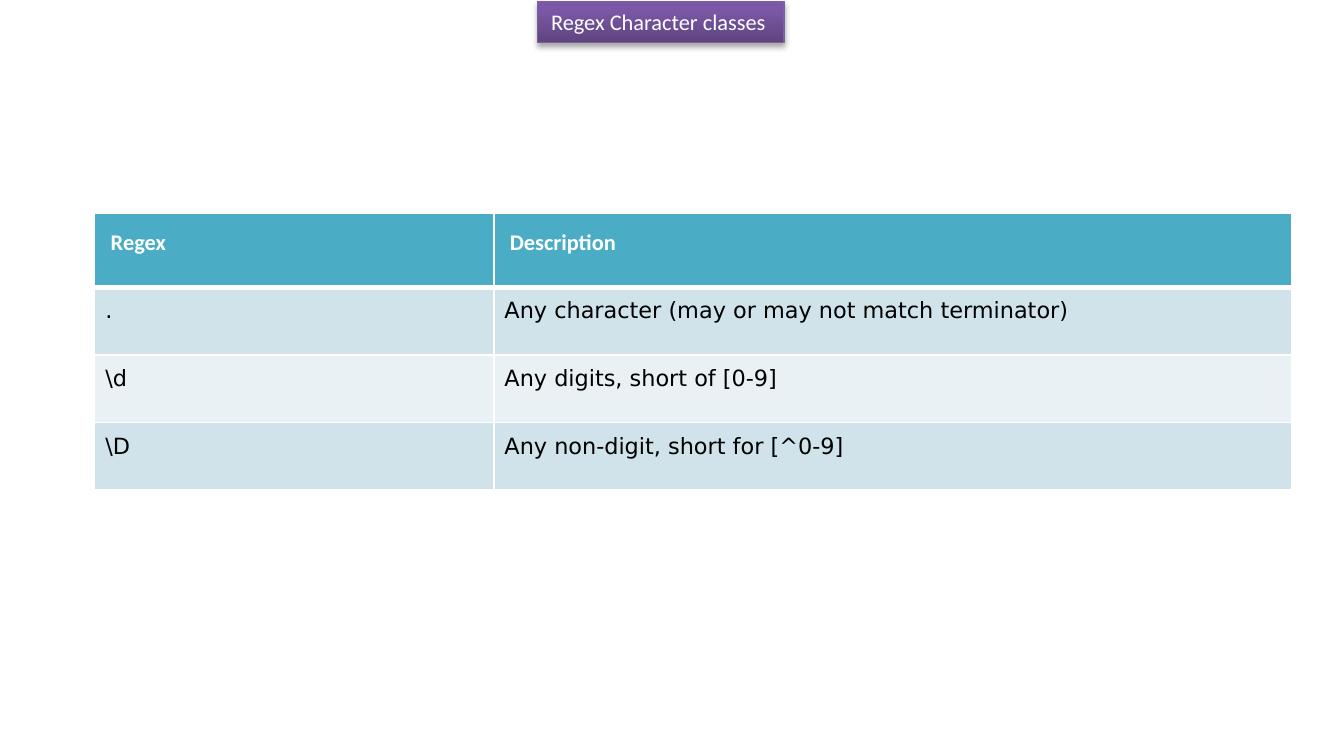
from dataclasses import dataclass

from lxml import etree
from pptx import Presentation
from pptx.dml.color import RGBColor
from pptx.enum import text
from pptx.oxml import parse_xml
from pptx.oxml.ns import nsdecls, qn
from pptx.util import Pt


@dataclass(frozen=True)
class Theme:
    white: str = "FFFFFF"
    black: str = "000000"
    header: str = "4BACC6"
    bands: tuple = ("D0E3EA", "E9F1F5")
    title_line: str = "7D60A0"
    title_stops: tuple = ((0, "5F4480"), (80, "7B58A6"), (100, "7C57A8"))
    size: float = 12
    heading_font: str = "Calibri"
    body_font: str = "DejaVu Sans"


THEME = Theme()
ROWS = [
    ("Regex", "Description"),
    (".", "Any character (may or may not match terminator)"),
    (r"\d", "Any digits, short of [0-9]"),
    (r"\D", "Any non-digit, short for [^0-9]"),
]


def write(tf, content, font, color, bold=False, align=text.PP_ALIGN.LEFT):
    p = tf.paragraphs[0]
    p.alignment = align
    r = p.add_run()
    r.text = content
    r.font.name = font
    r.font.size = Pt(THEME.size)
    r.font.bold = bold
    r.font.color.rgb = RGBColor.from_string(color)


def add_gradient(sp):
    stops = "".join(
        f'<a:gs pos="{pos * 1000}"><a:srgbClr val="{color}"/></a:gs>'
        for pos, color in THEME.title_stops)
    sp._element.spPr.append(parse_xml(
        f'<a:gradFill {nsdecls("a")} rotWithShape="1"><a:gsLst>{stops}</a:gsLst>'
        '<a:lin ang="16200000" scaled="0"/></a:gradFill>'))


def add_shadow(sp):
    sp._element.spPr.append(parse_xml(
        f'<a:effectLst {nsdecls("a")}><a:outerShdw blurRad="{Pt(3.1)}" '
        f'dist="{Pt(1.8)}" dir="5400000" rotWithShape="0">'
        f'<a:srgbClr val="{THEME.black}"><a:alpha val="35000"/></a:srgbClr>'
        '</a:outerShdw></a:effectLst>'))


def add_title(s, content, left, top, width, height):
    sp = s.shapes.title
    sp.left, sp.top, sp.width, sp.height = map(Pt, (left, top, width, height))
    add_gradient(sp)
    sp.line.color.rgb = RGBColor.from_string(THEME.title_line)
    sp.line.width = Pt(0.75)
    add_shadow(sp)
    tf = sp.text_frame
    tf.word_wrap = True
    tf.auto_size = text.MSO_AUTO_SIZE.NONE
    tf.vertical_anchor = text.MSO_ANCHOR.MIDDLE
    tf.margin_left = tf.margin_right = Pt(7.2)
    tf.margin_top = tf.margin_bottom = Pt(3.6)
    write(tf, content, THEME.heading_font, THEME.white)


def set_borders(cell, top=1, bottom=1):
    tc_pr = cell._tc.get_or_add_tcPr()
    for side, width in (("L", 1), ("R", 1), ("T", top), ("B", bottom)):
        ln = etree.SubElement(tc_pr, qn(f"a:ln{side}"), w=str(Pt(width)))
        fill = etree.SubElement(ln, qn("a:solidFill"))
        etree.SubElement(fill, qn("a:srgbClr"), val=THEME.white)


def format_cell(cell, content, row):
    is_header = row == 0
    inset = Pt(8.64 if is_header else 5.76)
    cell.margin_left = cell.margin_right = inset
    cell.margin_top = cell.margin_bottom = inset
    set_borders(cell, top=3 if row == 1 else 1, bottom=3 if is_header else 1)
    cell.fill.solid()
    color = THEME.header if is_header else THEME.bands[(row - 1) % 2]
    cell.fill.fore_color.rgb = RGBColor.from_string(color)
    if is_header:
        write(cell.text_frame, content, THEME.heading_font, THEME.white, bold=True)
    else:
        write(cell.text_frame, content, THEME.body_font, THEME.black,
              align=text.PP_ALIGN.JUSTIFY)


def add_regex_table(s, rows, left, top, width, height):
    """Header row of 40 pt, equal body rows; the second column is twice the first."""
    header_height = 40
    body_height = (height - header_height) / (len(rows) - 1)
    table = s.shapes.add_table(len(rows), 2, Pt(left), Pt(top),
                               Pt(width), Pt(height)).table
    for column, share in zip(table.columns, (1, 2)):
        column.width = Pt(width * share / 3)
    for i, values in enumerate(rows):
        table.rows[i].height = Pt(body_height if i else header_height)
        for j, value in enumerate(values):
            format_cell(table.cell(i, j), value, i)


def main():
    prs = Presentation()
    prs.slide_width, prs.slide_height = Pt(720), Pt(396)
    s = prs.slides.add_slide(prs.slide_layouts[5])
    add_title(s, "Regex Character classes", 288, 0.7, 132, 22)
    add_regex_table(s, ROWS, 50.7, 114, 641.4, 148.6)
    prs.save("out.pptx")


if __name__ == "__main__":
    main()
